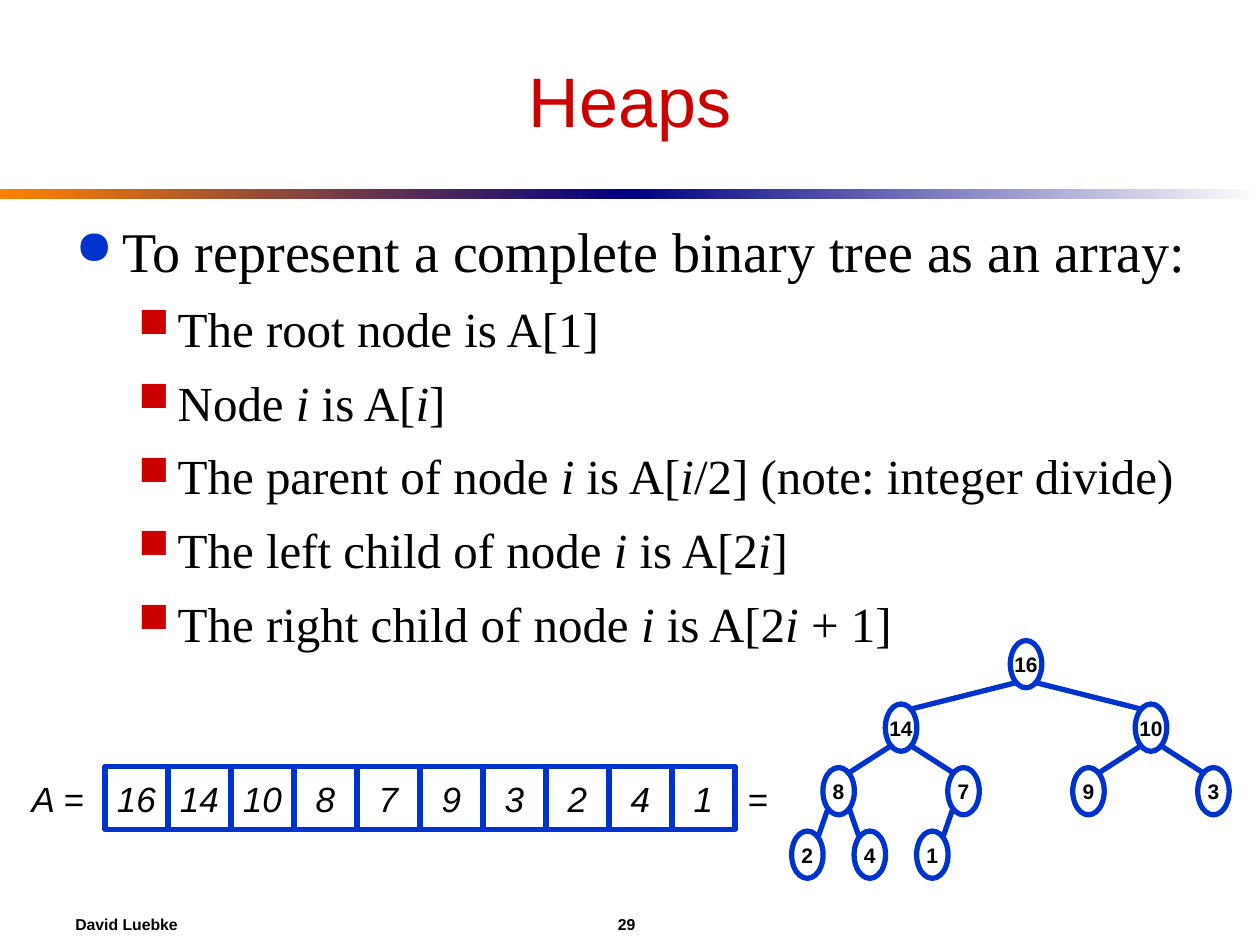
from dataclasses import dataclass

from lxml import etree
from pptx import Presentation
from pptx.dml.color import RGBColor
from pptx.enum.shapes import MSO_CONNECTOR, MSO_SHAPE
from pptx.enum.text import MSO_ANCHOR, PP_ALIGN
from pptx.oxml.ns import qn
from pptx.util import Pt

RECTANGLE, OVAL = MSO_SHAPE.RECTANGLE, MSO_SHAPE.OVAL
STRAIGHT = MSO_CONNECTOR.STRAIGHT
CENTER, LEFT = PP_ALIGN.CENTER, PP_ALIGN.LEFT
MIDDLE, TOP = MSO_ANCHOR.MIDDLE, MSO_ANCHOR.TOP

BLACK, WHITE, BLUE, RED = "000000", "FFFFFF", "0033CC", "CC0000"
ORANGE, NAVY = "FF8200", "000082"
SANS, SERIF = "Arial", "Times New Roman"

HEAP = [16, 14, 10, 8, 7, 9, 3, 2, 4, 1]
CELL_SIZE, ARRAY_LEFT, ARRAY_TOP = 36, 60, 438
NODE_WIDTH, NODE_HEIGHT = 18, 27
TREE_LEFT, TREE_TOP, TREE_WIDTH, LEVEL_GAP = 443.5, 366, 285.6, 36.3
EDGE_X, EDGE_Y = 6.4, 10.8  # where an edge meets a node, from its centre


@dataclass
class Area:
    left: float
    top: float
    width: float
    height: float

    def lengths(self) -> list:
        return [Pt(v) for v in (self.left, self.top, self.width, self.height)]


@dataclass
class Style:
    size: float
    color: str = BLACK
    font: str = SANS
    bold: bool = False
    italic: bool = False


@dataclass
class Level:
    style: Style
    bullet: str
    bullet_color: str
    margin: float
    hanging: float
    space_before: float


MAIN = Level(Style(32, font=SERIF), "●", BLUE, 27, 27, 8)
SUB = Level(Style(28, font=SERIF), "■", RED, 58.5, 22.5, 8.5)
NODE_STYLE = Style(12, bold=True)
ARRAY_STYLE = Style(20, italic=True)

# Asterisks enclose the italic variable names
POINTS = [
    (MAIN, "To represent a complete binary tree as an array:"),
    (SUB, "The root node is A[1]"),
    (SUB, "Node *i* is A[*i*]"),
    (SUB, "The parent of node *i* is A[*i*/2] (note: integer divide)"),
    (SUB, "The left child of node *i* is A[2*i*]"),
    (SUB, "The right child of node *i* is A[2*i* + 1]"),
]


def rgb(color: str) -> RGBColor:
    return RGBColor.from_string(color)


def format_span(span, style: Style) -> None:
    span.font.name, span.font.size = style.font, Pt(style.size)
    span.font.bold, span.font.italic = style.bold, style.italic
    span.font.color.rgb = rgb(style.color)


def write(shape, text: str, style: Style, align=CENTER, wrap: bool = False) -> None:
    frame = shape.text_frame
    frame.text = text
    frame.word_wrap, frame.vertical_anchor = wrap, MIDDLE
    para = frame.paragraphs[0]
    para.alignment = align
    format_span(para.runs[0], style)


def add_label(page, area: Area, text: str, style: Style, align=CENTER, wrap: bool = False):
    box = page.shapes.add_textbox(*area.lengths())
    write(box, text, style, align, wrap)
    return box


def add_outlined(page, kind, area: Area, text: str, style: Style) -> None:
    shape = page.shapes.add_shape(kind, *area.lengths())
    shape.shadow.inherit = False
    shape.fill.solid()
    shape.fill.fore_color.rgb = rgb(WHITE)
    shape.line.color.rgb = rgb(BLUE)
    shape.line.width = Pt(3)
    write(shape, text, style)


def add_gradient_bar(page, area: Area, colors: tuple) -> None:
    bar = page.shapes.add_shape(RECTANGLE, *area.lengths())
    bar.shadow.inherit = False
    bar.line.fill.background()
    bar.fill.gradient()
    bar.fill.gradient_angle = 0
    for stop, color, position in zip(bar.fill.gradient_stops, colors, (0, 1)):
        stop.color.rgb = rgb(color)
        stop.position = position


def add_edge(page, start: tuple, end: tuple) -> None:
    edge = page.shapes.add_connector(STRAIGHT, *[Pt(v) for v in (*start, *end)])
    edge.line.color.rgb = rgb(BLUE)
    edge.line.width = Pt(3)
    etree.SubElement(edge.element.spPr, qn("a:effectLst"))


def set_bullet(para, level: Level) -> None:
    properties = para._p.get_or_add_pPr()
    properties.set("marL", str(Pt(level.margin)))
    properties.set("indent", str(-Pt(level.hanging)))
    color = etree.SubElement(properties, qn("a:buClr"))
    etree.SubElement(color, qn("a:srgbClr"), val=level.bullet_color)
    etree.SubElement(properties, qn("a:buSzPct"), val="85000")
    etree.SubElement(properties, qn("a:buChar"), char=level.bullet)


def add_points(page, area: Area) -> None:
    frame = page.shapes.add_textbox(*area.lengths()).text_frame
    frame.word_wrap, frame.vertical_anchor = True, TOP
    for index, (level, text) in enumerate(POINTS):
        para = frame.add_paragraph() if index else frame.paragraphs[0]
        para.level = 0 if level is MAIN else 1
        para.space_before = Pt(level.space_before)
        set_bullet(para, level)
        for part, words in enumerate(text.split("*")):
            span = para.add_run()
            span.text = words
            format_span(span, level.style)
            span.font.italic = part % 2 == 1


def node_center(number: int) -> tuple:
    """Centre of a node, numbered from 1 as in the array."""
    depth = number.bit_length() - 1
    pitch = TREE_WIDTH / 2 ** depth
    x = TREE_LEFT + pitch * (number - 2 ** depth + 0.5)
    return x, TREE_TOP + LEVEL_GAP * depth + NODE_HEIGHT / 2


def add_tree(page) -> None:
    for number, value in enumerate(HEAP, start=1):
        x, y = node_center(number)
        area = Area(x - NODE_WIDTH / 2, y - NODE_HEIGHT / 2, NODE_WIDTH, NODE_HEIGHT)
        add_outlined(page, OVAL, area, str(value), NODE_STYLE)
    for number in range(2, len(HEAP) + 1):
        (parent_x, parent_y), (x, y) = node_center(number // 2), node_center(number)
        shift = EDGE_X if number % 2 else -EDGE_X
        add_edge(page, (parent_x + shift, parent_y + EDGE_Y), (x - shift, y - EDGE_Y))


def add_array(page) -> None:
    for index, value in enumerate(HEAP):
        area = Area(ARRAY_LEFT + index * CELL_SIZE, ARRAY_TOP, CELL_SIZE, CELL_SIZE)
        add_outlined(page, RECTANGLE, area, str(value), ARRAY_STYLE)
    array_right = ARRAY_LEFT + len(HEAP) * CELL_SIZE
    add_label(page, Area(6, ARRAY_TOP, 54, CELL_SIZE), "A =", ARRAY_STYLE)
    add_label(page, Area(array_right, ARRAY_TOP, 24, CELL_SIZE), "=", ARRAY_STYLE)


def add_footer(page) -> None:
    box = add_label(page, Area(36, 516, 648, 24), "David Luebke\t29",
                    Style(9, bold=True), LEFT, True)
    properties = box.text_frame.paragraphs[0]._p.get_or_add_pPr()
    tabs = etree.SubElement(properties, qn("a:tabLst"))
    etree.SubElement(tabs, qn("a:tab"), pos=str(Pt(310)), algn="l")


def main() -> None:
    deck = Presentation()
    deck.slide_width, deck.slide_height = Pt(720), Pt(540)
    page = deck.slides.add_slide(deck.slide_layouts[5])

    # Title and the rule below it
    title = page.shapes.title
    title.left, title.top, title.width, title.height = Area(36, 18, 648, 78).lengths()
    write(title, "Heaps", Style(40, RED), wrap=True)
    add_gradient_bar(page, Area(0, 108, 360, 6), (ORANGE, NAVY))
    add_gradient_bar(page, Area(360, 108, 360, 6), (NAVY, WHITE))

    # Bullets, then the heap as a tree and as an array
    add_points(page, Area(36, 120, 654, 342))
    add_tree(page)
    add_array(page)
    add_footer(page)
    deck.save("out.pptx")


if __name__ == "__main__":
    main()
